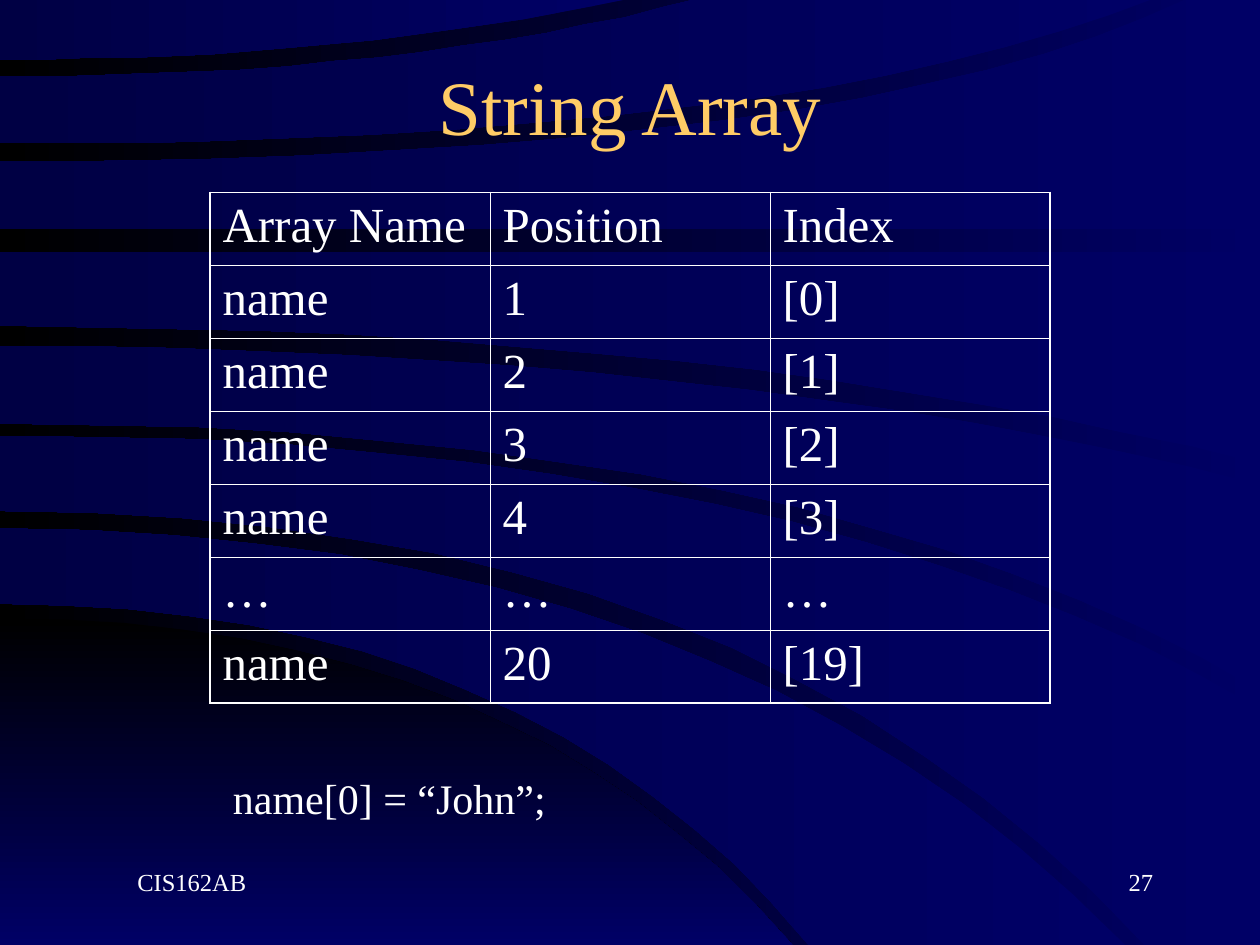
from lxml import etree
from pptx import Presentation
from pptx import util as u
from pptx.dml.color import RGBColor
from pptx.enum import text
from pptx.oxml.ns import qn

# Content
TITLE = "String Array"
HEADER = ("Array Name", "Position", "Index")
ROWS = [
    HEADER,
    *[("name", str(n), f"[{n - 1}]") for n in range(1, 5)],
    ("…", "…", "…"),
    ("name", "20", "[19]"),
]
EXAMPLE = "name[0] = “John”;"
FOOTER, PAGE = "CIS162AB", "27"

FONT = "Times New Roman"
COLORS = {"blue": "000066", "navy": "000044", "black": "000000",
          "title": "FFCC66", "white": "FFFFFF"}
THIN, THICK = 0.45, 1.08
TABLE_BOX = (120, 110, 480, 292)

# Background areas, back to front: upper edge, lower edge, corners between them.
# An edge leaves the left side level: (left y, bend x, end x, end y).
CORNER = ((353.5, 292, 453, 540), (540, 226, 453, 540), [])
BANDS = [
    ((302.5, 412, 643, 540), (345, 302, 462, 540), []),
    ((249, 455, 720, 405), (292, 428, 654, 540), [(720, 540)]),
    ((198, 408, 720, 277), (242, 465, 720, 395), []),
    ((144, 360, 720, 144), (186.5, 412, 720, 265), []),
    ((92, 485, 679, -1), (131, 360, 720, 131), [(720, -1)]),
    ((44, 231, 400, -1), (82, 455, 660, -1), []),
    ((-1, 180, 361, -1), (34, 200, 361, -1), []),
]
STEPS = 16


def points(values):
    return [u.Pt(value) for value in values]


def edge_points(edge):
    """Points along a quadratic curve with a level start."""
    left_y, bend_x, end_x, end_y = edge
    fractions = [step / STEPS for step in range(STEPS + 1)]
    return [(2 * s * (1 - s) * bend_x + s * s * end_x,
             left_y + s * s * (end_y - left_y)) for s in fractions]


def set_gradient(fill, start, end, angle):
    fill.gradient()
    fill.gradient_angle = angle
    for stop, color in zip(fill.gradient_stops, (start, end)):
        stop.color.rgb = RGBColor.from_string(COLORS[color])


def add_area(slide, area, start, end, angle):
    upper, lower, corners = area
    outline = edge_points(upper) + corners + edge_points(lower)[::-1]
    builder = slide.shapes.build_freeform(*outline[0], scale=u.Pt(1))
    builder.add_line_segments(outline[1:], close=True)
    shape = builder.convert_to_shape()
    shape.shadow.inherit = False
    shape.line.fill.background()
    set_gradient(shape.fill, start, end, angle)


def set_text(frame, content, size, color="white", align=text.PP_ALIGN.LEFT, before=0):
    frame.text = content
    frame.word_wrap = True
    paragraph = frame.paragraphs[0]
    paragraph.alignment = align
    paragraph.space_before = u.Pt(before)
    paragraph.font.name = FONT
    paragraph.font.size = u.Pt(size)
    paragraph.font.color.rgb = RGBColor.from_string(COLORS[color])


def add_text(slide, box, content, size, inset=7.2, **options):
    frame = slide.shapes.add_textbox(*points(box)).text_frame
    frame.margin_left = u.Pt(inset)
    set_text(frame, content, size, **options)


def add_border(cell, side, width):
    line = etree.SubElement(cell._tc.get_or_add_tcPr(), qn("a:ln" + side),
                            w=str(u.Pt(width)))
    fill = etree.SubElement(line, qn("a:solidFill"))
    etree.SubElement(fill, qn("a:srgbClr"), val=COLORS["white"])


def add_grid(slide):
    row_count, column_count = len(ROWS), len(HEADER)
    table = slide.shapes.add_table(row_count, column_count, *points(TABLE_BOX)).table
    table.first_row = table.horz_banding = False
    for r, values in enumerate(ROWS):
        for c, value in enumerate(values):
            cell = table.cell(r, c)
            set_text(cell.text_frame, value, 28, before=7)
            outer = {"L": c == 0, "R": c == column_count - 1,
                     "T": r == 0, "B": r == row_count - 1}
            for side, is_outer in outer.items():
                add_border(cell, side, THICK if is_outer else THIN)
            cell.fill.background()


def main():
    presentation = Presentation()
    presentation.slide_width, presentation.slide_height = points((720, 540))
    slide = presentation.slides.add_slide(presentation.slide_layouts[5])

    # Background
    set_gradient(slide.background.fill, "blue", "black", 180)
    add_area(slide, CORNER, "black", "blue", 270)
    for band in BANDS:
        add_area(slide, band, "blue", "navy", 180)

    # Title, brought in front of the bands
    title = slide.shapes.title
    title.left, title.top, title.width, title.height = points((54, 30, 612, 60))
    title.text_frame.vertical_anchor = text.MSO_ANCHOR.MIDDLE
    set_text(title.text_frame, TITLE, 44, "title", text.PP_ALIGN.CENTER)
    title._element.getparent().append(title._element)

    # Table, example and footer
    add_grid(slide)
    add_text(slide, (126, 438, 492, 36), EXAMPLE, 24, before=15)
    add_text(slide, (516, 492, 150, 36), PAGE, 14, align=text.PP_ALIGN.RIGHT)
    add_text(slide, (54, 492, 150, 36), FOOTER, 14, inset=24.5)

    presentation.save("out.pptx")


if __name__ == "__main__":
    main()
